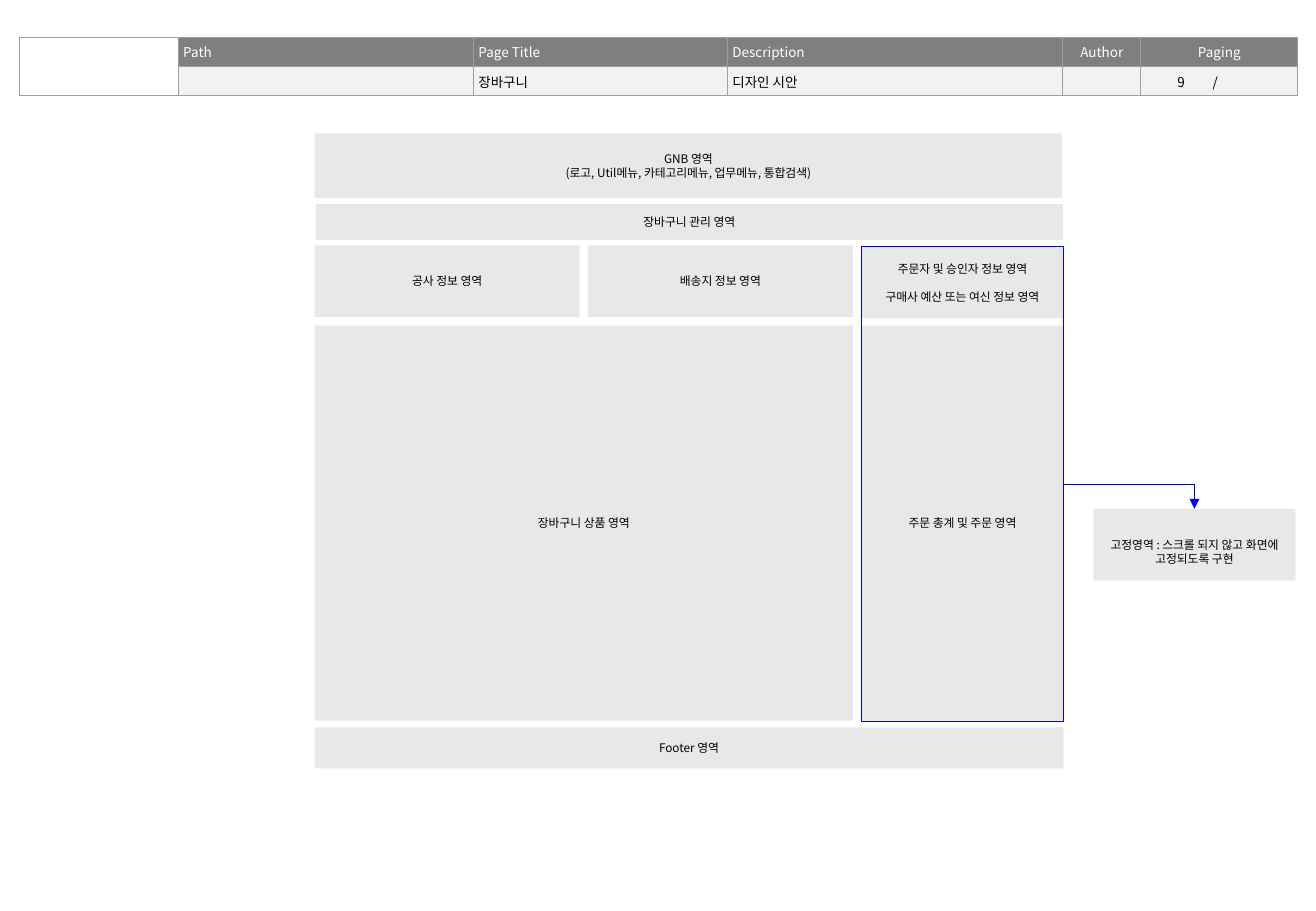
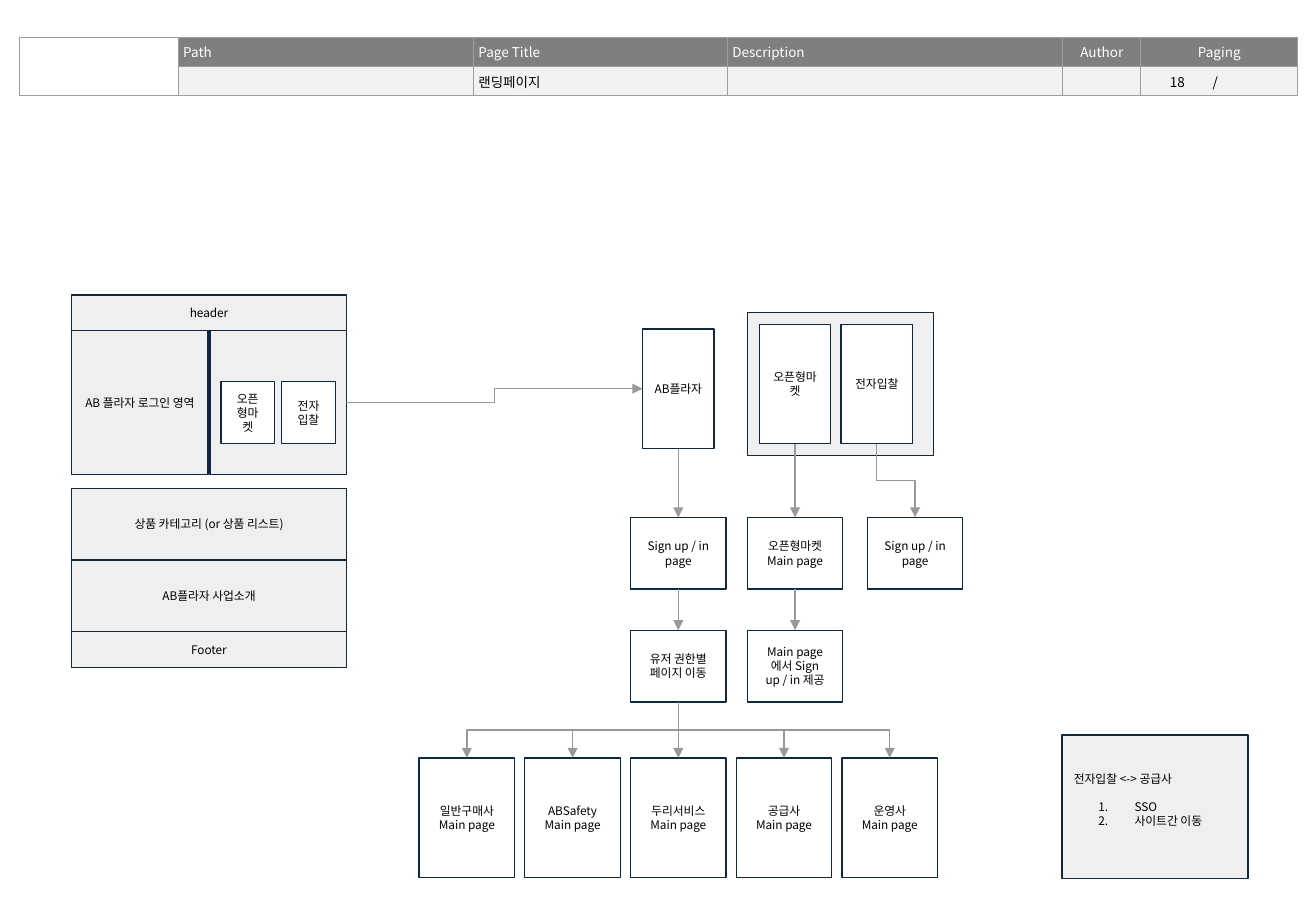
from dataclasses import dataclass

from lxml import etree
from pptx import Presentation
from pptx.dml.color import RGBColor
from pptx.enum.shapes import MSO_CONNECTOR, MSO_SHAPE
from pptx.enum.text import MSO_ANCHOR, PP_ALIGN
from pptx.oxml.ns import qn
from pptx.util import Cm, Pt


@dataclass(frozen=True)
class Theme:
    font: str = "Noto Sans CJK KR"
    black: str = "000000"
    white: str = "FFFFFF"
    header_fill: str = "7F7F7F"
    value_fill: str = "F2F2F2"
    table_line: str = "9E9E9E"
    area_fill: str = "E8E8E8"
    panel_fill: str = "EFEFEF"
    box_line: str = "0E2841"
    arrow: str = "999999"
    highlight: str = "0000FF"
    table_size: float = 8
    body_size: float = 7
    line_pitch: float = 8.4
    line_width: float = 0.75
    inset: float = 0.25


THEME = Theme()
TOP, LEFT, BOTTOM, RIGHT = range(4)
CENTER = PP_ALIGN.CENTER

COLUMN_WIDTHS = [3.33, 6.17, 5.31, 7.01, 1.63, 1.02, 1.07, 1.19]
COLUMN_LABELS = ["", "Path", "Page Title", "Description", "Author", "Paging", "", ""]
HEADER_ALIGNS = [PP_ALIGN.LEFT] * 4 + [CENTER] * 4
VALUE_ALIGNS = [PP_ALIGN.LEFT] * 5 + [PP_ALIGN.RIGHT, CENTER, CENTER]


def color(value):
    return RGBColor.from_string(value)


def style_paragraph(paragraph, size, text_color, align):
    paragraph.alignment = align
    font = paragraph.font
    font.size = Pt(size)
    font.color.rgb = color(text_color)
    font.name = THEME.font
    etree.SubElement(font._rPr, qn("a:ea"), typeface=THEME.font)


def set_borders(cell, hidden_sides):
    """Rule all four sides of a cell except the hidden ones (L, R, T, B)."""
    properties = cell._tc.get_or_add_tcPr()
    for index, side in enumerate("LRTB"):
        line = etree.Element(qn(f"a:ln{side}"), w=str(Pt(THEME.line_width)))
        if side in hidden_sides:
            etree.SubElement(line, qn("a:noFill"))
        else:
            fill = etree.SubElement(line, qn("a:solidFill"))
            etree.SubElement(fill, qn("a:srgbClr"), val=THEME.table_line)
        properties.insert(index, line)


def style_cell(cell, text, fill, text_color, align, margin_x=0.1, hidden_sides=""):
    cell.margin_left = cell.margin_right = Cm(margin_x)
    cell.margin_top = cell.margin_bottom = Cm(0.1)
    cell.vertical_anchor = MSO_ANCHOR.MIDDLE
    if fill:
        cell.fill.solid()
        cell.fill.fore_color.rgb = color(fill)
    else:
        cell.fill.background()
    paragraph = cell.text_frame.paragraphs[0]
    if text:
        paragraph.text = text
    else:
        paragraph._p.get_or_add_endParaRPr().set("sz", str(int(THEME.table_size * 100)))
    style_paragraph(paragraph, THEME.table_size, text_color, align)
    set_borders(cell, hidden_sides)


def add_page_header(slide, page_title, description, page_number):
    row_height = 0.6
    frame = slide.shapes.add_table(2, len(COLUMN_WIDTHS), Cm(0.4), Cm(0.78),
                                   Cm(sum(COLUMN_WIDTHS)), Cm(2 * row_height))
    table = frame.table
    table.first_row = table.horz_banding = False
    for row in table.rows:
        row.height = Cm(row_height)
    values = ["", "", page_title, description, "", page_number, "/", ""]
    hidden_sides = {5: "R", 6: "LR", 7: "L"}
    for index, width in enumerate(COLUMN_WIDTHS):
        table.columns[index].width = Cm(width)
        is_logo = index == 0
        style_cell(table.cell(0, index), COLUMN_LABELS[index],
                   None if is_logo else THEME.header_fill, THEME.white, HEADER_ALIGNS[index])
        style_cell(table.cell(1, index), values[index],
                   None if is_logo else THEME.value_fill, THEME.black, VALUE_ALIGNS[index],
                   0.05 if index == 6 else 0.1, hidden_sides.get(index, ""))
    table.cell(0, 0).merge(table.cell(1, 0))
    table.cell(0, 5).merge(table.cell(0, 7))


def add_box(slide, bounds, text="", fill=None, line=None, align=CENTER, inset=THEME.inset):
    """Draw a rectangle; bounds are left, top, width and height in centimetres."""
    shape = slide.shapes.add_shape(MSO_SHAPE.RECTANGLE, *map(Cm, bounds))
    shape.shadow.inherit = False
    if fill:
        shape.fill.solid()
        shape.fill.fore_color.rgb = color(fill)
    else:
        shape.fill.background()
    if line:
        shape.line.color.rgb = color(line)
        shape.line.width = Pt(THEME.line_width)
    else:
        shape.line.fill.background()
    if text:
        frame = shape.text_frame
        frame.word_wrap = True
        frame.vertical_anchor = MSO_ANCHOR.MIDDLE
        frame.margin_left = frame.margin_right = Cm(inset)
        frame.margin_top = frame.margin_bottom = Cm(inset)
        frame.text = text
        for paragraph in frame.paragraphs:
            paragraph.line_spacing = Pt(THEME.line_pitch)
            style_paragraph(paragraph, THEME.body_size, THEME.black, align)
    return shape


def add_area(slide, bounds, text, **options):
    return add_box(slide, bounds, text, THEME.area_fill, **options)


def add_panel(slide, bounds, text="", **options):
    return add_box(slide, bounds, text, THEME.panel_fill, THEME.box_line, **options)


def add_node(slide, bounds, text):
    return add_box(slide, bounds, text, THEME.white, THEME.box_line)


def add_arrow(slide, source, source_side, target, target_side, line_color,
              kind=MSO_CONNECTOR.ELBOW):
    connector = slide.shapes.add_connector(kind, 0, 0, 0, 0)
    connector.begin_connect(source, source_side)
    connector.end_connect(target, target_side)
    connector.line.color.rgb = color(line_color)
    connector.line.width = Pt(THEME.line_width)
    etree.SubElement(connector.line._get_or_add_ln(), qn("a:tailEnd"), type="triangle")
    etree.SubElement(connector._element.spPr, qn("a:effectLst"))
    return connector


def add_down_arrow(slide, source, target):
    """Join bottom to top: straight when centred, else a turned elbow."""
    start_x = source.left + source.width // 2
    end_x = target.left + target.width // 2
    shift = end_x - start_x
    straight = abs(shift) < Cm(0.02)
    kind = MSO_CONNECTOR.STRAIGHT if straight else MSO_CONNECTOR.ELBOW
    connector = add_arrow(slide, source, BOTTOM, target, TOP, THEME.arrow, kind)
    if straight:
        return
    start_y = source.top + source.height
    drop = target.top - start_y
    connector.width, connector.height = drop, abs(shift)
    connector.left = (start_x + end_x - drop) // 2
    connector.top = (start_y + target.top - abs(shift)) // 2
    transform = connector._element.spPr.xfrm
    transform.rot = 270 if shift > 0 else 90
    transform.flipH = shift > 0


def number_paragraph(paragraph):
    properties = paragraph._p.get_or_add_pPr()
    properties.set("marL", str(Cm(1.27)))
    properties.set("indent", str(Cm(-0.76)))
    numbering = etree.Element(qn("a:buAutoNum"), type="arabicPeriod")
    properties.find(qn("a:defRPr")).addprevious(numbering)


def build_cart_slide(slide):
    add_page_header(slide, "장바구니", "디자인 시안", "9")
    left, side_left, side_width = 6.58, 18.01, 4.22
    info_top, info_height = 5.13, 1.5
    main_top, main_height = 6.81, 8.26
    add_area(slide, (left, 2.79, 15.62, 1.35),
             "GNB 영역\n(로고, Util메뉴, 카테고리메뉴, 업무메뉴, 통합검색)")
    add_area(slide, (6.6, 4.27, 15.62, 0.75), "장바구니 관리 영역")
    for index, text in enumerate(["공사 정보 영역", "배송지 정보 영역"]):
        add_area(slide, (left + index * 5.71, info_top, 5.54, info_height), text)
    add_area(slide, (left, main_top, 11.25, main_height), "장바구니 상품 영역")
    add_area(slide, (left, 15.21, 15.65, 0.86), "Footer 영역")
    add_area(slide, (side_left, main_top, side_width, main_height), "주문 총계 및 주문 영역")
    orderer = add_area(slide, (side_left, 5.16, side_width, info_height),
                       "주문자 및 승인자 정보 영역\n구매사 예산 또는 여신 정보 영역")
    orderer.text_frame.paragraphs[1].space_before = Pt(THEME.line_pitch)
    callout = add_area(slide, (22.86, 10.64, side_width, info_height),
                       "고정영역 : 스크롤 되지 않고 화면에 고정되도록 구현", inset=0)
    callout.text_frame.margin_top = Pt(THEME.line_pitch)
    fixed_frame = add_box(slide, (side_left, 5.16, side_width, 9.93), line=THEME.highlight)
    arrow = add_arrow(slide, fixed_frame, RIGHT, callout, TOP, THEME.highlight)
    arrow._element.spPr.find(qn("a:prstGeom")).set("prst", "bentConnector2")


def add_landing_layout(slide):
    """Draw the page layout on the left and return its link panel."""
    left, width, half = 1.5, 5.74, 2.85
    body_top = 6.92
    for top, height, text in [(6.17, 0.75, "header"),
                              (13.21, 0.75, "Footer"),
                              (11.71, 1.5, "AB플라자 사업소개"),
                              (10.21, 1.5, "상품 카테고리 (or 상품 리스트)")]:
        add_panel(slide, (left, top, width, height), text)
    link_panel = add_panel(slide, (left + width - half, body_top, half, 3))
    add_panel(slide, (left, body_top, half, 3), "AB 플라자 로그인 영역")
    for index, text in enumerate(["오픈형마켓", "전자입찰"]):
        add_node(slide, (4.62 + index * 1.27, 7.98, 1.12, 1.3), text)
    return link_panel


def add_note(slide):
    note = add_panel(slide, (22.2, 15.37, 3.89, 3), "전자입찰 <-> 공급사\nSSO\n사이트간 이동",
                     align=PP_ALIGN.LEFT)
    note.text_frame.margin_bottom = Cm(THEME.inset) + Pt(THEME.line_pitch)
    steps = note.text_frame.paragraphs[1:]
    for paragraph in steps:
        number_paragraph(paragraph)
    steps[0].space_before = Pt(THEME.line_pitch)


def build_landing_slide(slide):
    add_page_header(slide, "랜딩페이지", "", "18")
    link_panel = add_landing_layout(slide)

    page_width, page_height, tall = 2, 1.5, 2.5
    plaza_left, market_left, bid_left = 13.18, 15.62, 18.13
    sign_up_top, next_top = 10.82, 13.18
    add_panel(slide, (market_left, 6.53, 3.89, 3))
    plaza = add_node(slide, (13.43, 6.88, 1.5, tall), "AB플라자")
    market = add_node(slide, (15.87, 6.78, 1.5, tall), "오픈형마켓")
    bid = add_node(slide, (17.58, 6.78, 1.5, tall), "전자입찰")

    def add_page(left, top, text):
        return add_node(slide, (left, top, page_width, page_height), text)

    plaza_sign_up = add_page(plaza_left, sign_up_top, "Sign up / in\npage")
    market_main = add_page(market_left, sign_up_top, "오픈형마켓\nMain page")
    bid_sign_up = add_page(bid_left, sign_up_top, "Sign up / in\npage")
    role_router = add_page(plaza_left, next_top, "유저 권한별 페이지 이동")
    market_sign_up = add_page(market_left, next_top, "Main page에서 Sign up / in 제공")
    links = [(plaza, plaza_sign_up), (plaza_sign_up, role_router),
             (market, market_main), (market_main, market_sign_up), (bid, bid_sign_up)]

    roles = ["일반구매사", "ABSafety", "두리서비스", "공급사", "운영사"]
    for index, role in enumerate(roles):
        role_page = add_node(slide, (8.76 + index * 2.21, 15.85, page_width, tall),
                             f"{role}\nMain page")
        links.append((role_router, role_page))
    for source, target in links:
        add_down_arrow(slide, source, target)
    add_arrow(slide, link_panel, RIGHT, plaza, LEFT, THEME.arrow)
    add_note(slide)


def main():
    presentation = Presentation()
    presentation.slide_width, presentation.slide_height = Cm(27.51), Cm(19.05)
    blank_layout = presentation.slide_layouts[6]
    for build in (build_cart_slide, build_landing_slide):
        build(presentation.slides.add_slide(blank_layout))
    presentation.save("out.pptx")


if __name__ == "__main__":
    main()
